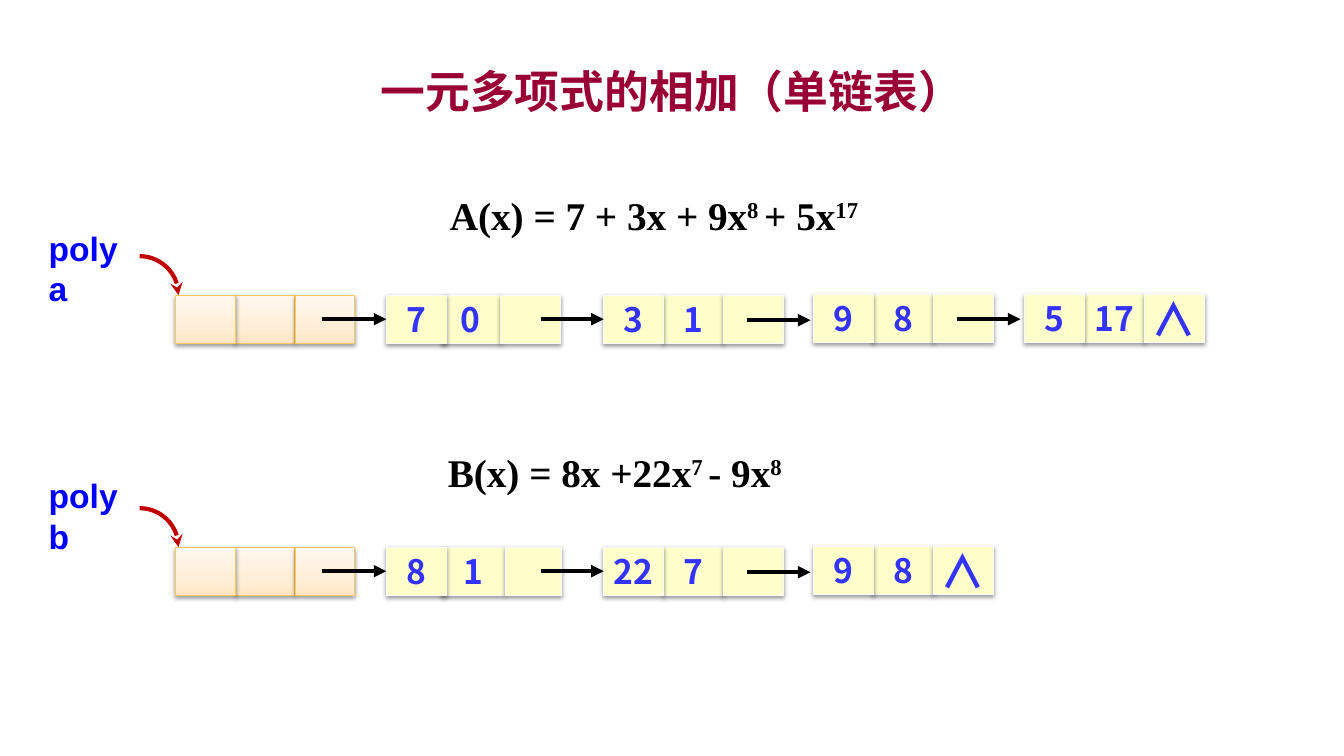
import math

import lxml.etree
import pptx
import pptx.dml.color
import pptx.enum.shapes
import pptx.enum.text
import pptx.oxml
import pptx.oxml.ns
import pptx.util

# Content: lengths in px, 96 to the inch
PX = 9525
TITLE = "一元多项式的相加（单链表）"
CHAINS = [
    {
        "top": 281,
        "name": ("polya", 212),
        "formula": (419, 177, 419, [("A(x) = 7 + 3x + 9x", 0), ("8 ", 1), ("+ 5x", 0), ("17", 1)]),
        # labels, left edges, right edge, upward shift
        "nodes": [
            (("7", "0", ""), (368, 420, 477), 534, 0),
            (("3", "1", ""), (575, 632, 689), 746, 0),
            (("9", "8", ""), (775, 831, 889), 946, 1),
            (("5", "17", "∧"), (976, 1033, 1090), 1147, 1),
        ],
    },
    {
        "top": 521,
        "name": ("polyb", 448),
        "formula": (417, 422, 361, [("B(x) = 8x +22x", 0), ("7 ", 1), ("- 9x", 0), ("8", 1)]),
        "nodes": [
            (("8", "1", ""), (368, 420, 481), 535, 0),
            (("22", "7", ""), (575, 632, 689), 746, 0),
            (("9", "8", "∧"), (775, 831, 889), 946, 1),
        ],
    },
]
HEAD = (("", "", ""), (167, 224, 281), 338, 0)
ARROWS = [(307, 368, 0), (515, 575, 0), (711, 772, 1), (911, 972, 0)]  # start, end, drop
CELL_WIDTH, CELL_HEIGHT = 57, 46
CURVE_LEFT, CURVE_RADIUS, CURVE_STEPS = 133, 37, 24

RGB = pptx.dml.color.RGBColor
TITLE_RED = RGB(0x99, 0x00, 0x33)
CURVE_RED = RGB(0xC0, 0x00, 0x00)
NAME_BLUE = RGB(0x00, 0x00, 0xFF)
VALUE_BLUE = RGB(0x33, 0x33, 0xFF)
BLACK = RGB(0x00, 0x00, 0x00)
NODE_FILL = RGB(0xFF, 0xFF, 0xCC)
NODE_LINE = RGB(0xF9, 0xF9, 0xF9)
HEAD_LINE = RGB(0xFD, 0xC9, 0x60)
HEAD_STOPS = [
    (0, RGB(0xFF, 0xE7, 0xC6)),
    (35000, RGB(0xFF, 0xEE, 0xD7)),
    (100000, RGB(0xFF, 0xF8, 0xF0)),
]
CJK = "Noto Sans CJK SC"
CENTER = pptx.enum.text.PP_ALIGN.CENTER

deck = pptx.Presentation()
deck.slide_width, deck.slide_height = 1280 * PX, 720 * PX
page = deck.slides.add_slide(deck.slide_layouts[6])


def add_xml(parent, tag, **attributes):
    return lxml.etree.SubElement(parent, pptx.oxml.ns.qn(tag), attributes)


def style_span(span, size, face, color):
    span.font.size = pptx.util.Pt(size)
    span.font.name = face
    span.font.bold = True
    span.font.color.rgb = color
    if face == CJK:
        add_xml(span.font._element, "a:ea", typeface=face)


def add_text(left, top, width, height, spans, size, face, color, wrap=True):
    box = page.shapes.add_textbox(left * PX, top * PX, width * PX, height * PX)
    box.text_frame.word_wrap = wrap
    para = box.text_frame.paragraphs[0]
    for words, raised in spans:
        span = para.add_run()
        span.text = words
        style_span(span, size, face, color)
        if raised:
            span.font._element.set("baseline", "30000")
    return para


def add_cell(left, top, width, label, is_head):
    cell = page.shapes.add_shape(
        pptx.enum.shapes.MSO_SHAPE.RECTANGLE, left * PX, top * PX, width * PX, CELL_HEIGHT * PX
    )
    if is_head:
        cell.fill.gradient()
        cell.fill.gradient_angle = 90
        stops = cell._element.spPr.find(".//" + pptx.oxml.ns.qn("a:gsLst"))
        for stop in list(stops):
            stops.remove(stop)
        for position, color in HEAD_STOPS:
            add_xml(add_xml(stops, "a:gs", pos=str(position)), "a:srgbClr", val=str(color))
    else:
        cell.fill.solid()
        cell.fill.fore_color.rgb = NODE_FILL
    cell.line.color.rgb = HEAD_LINE if is_head else NODE_LINE
    cell.line.width = pptx.util.Pt(0.75)
    # Soft shadow below the cell
    cell.shadow.inherit = False
    effects = cell._element.spPr.find(pptx.oxml.ns.qn("a:effectLst"))
    shadow = add_xml(effects, "a:outerShdw", blurRad="40000", dist="20000", dir="5400000", rotWithShape="0")
    add_xml(add_xml(shadow, "a:srgbClr", val="000000"), "a:alpha", val="38000")
    if label:
        frame = cell.text_frame
        frame.text = label
        frame.word_wrap = False
        frame.vertical_anchor = pptx.enum.text.MSO_ANCHOR.MIDDLE
        frame.paragraphs[0].alignment = CENTER
        style_span(frame.paragraphs[0].runs[0], 32 if label == "∧" else 24, CJK, VALUE_BLUE)
    return cell


def add_node(node, top, is_head=False):
    labels, lefts, right, lift = node
    edges = lefts + (right,)
    for index in (1, 2, 0):  # the first cell lies on top
        width = edges[index + 1] - edges[index]
        if index < 2:
            width = max(width, CELL_WIDTH)
        cell = add_cell(edges[index], top - lift, width, labels[index], is_head)
    return cell


def style_arrow(arrow, color, head):
    arrow.line.color.rgb = color
    arrow.line.width = pptx.util.Pt(3)
    add_xml(arrow.line._get_or_add_ln(), "a:tailEnd", type=head)


def add_curve(top):
    points = []
    for step in range(CURVE_STEPS + 1):
        angle = math.pi / 2 * step / CURVE_STEPS
        x = CURVE_LEFT + CURVE_RADIUS * math.sin(angle)
        y = top - CURVE_RADIUS * math.cos(angle)
        points.append((round(x * PX), round(y * PX)))
    builder = page.shapes.build_freeform(*points[0])
    builder.add_line_segments(points[1:], close=False)
    curve = builder.convert_to_shape()
    curve.fill.background()
    curve.shadow.inherit = False
    style_arrow(curve, CURVE_RED, "stealth")


# Title
add_text(96, 56, 1088, 72, [(TITLE, 0)], 32, CJK, TITLE_RED).alignment = CENTER

for chain in CHAINS:
    top = chain["top"]
    # Head node and list nodes
    add_node(HEAD, top, is_head=True)
    targets = [add_node(node, top) for node in chain["nodes"]]

    # Pointers between nodes
    for (start, end, drop), target in zip(ARROWS, targets):
        y = (top + CELL_HEIGHT // 2 + drop) * PX
        arrow = page.shapes.add_connector(
            pptx.enum.shapes.MSO_CONNECTOR.STRAIGHT, start * PX, y, end * PX, y
        )
        style_arrow(arrow, BLACK, "triangle")
        add_xml(arrow._element.spPr, "a:effectLst")
        if end * PX == target.left:
            arrow.end_connect(target, 1)

    # List name, its curved pointer and the polynomial
    add_curve(top)
    name, name_top = chain["name"]
    add_text(37, name_top, 96, 48, [(name, 0)], 24, "Arial", NAME_BLUE)
    left, formula_top, width, spans = chain["formula"]
    add_text(left, formula_top, width, 55, spans, 28, "Times New Roman", BLACK, wrap=False)

deck.save("out.pptx")
